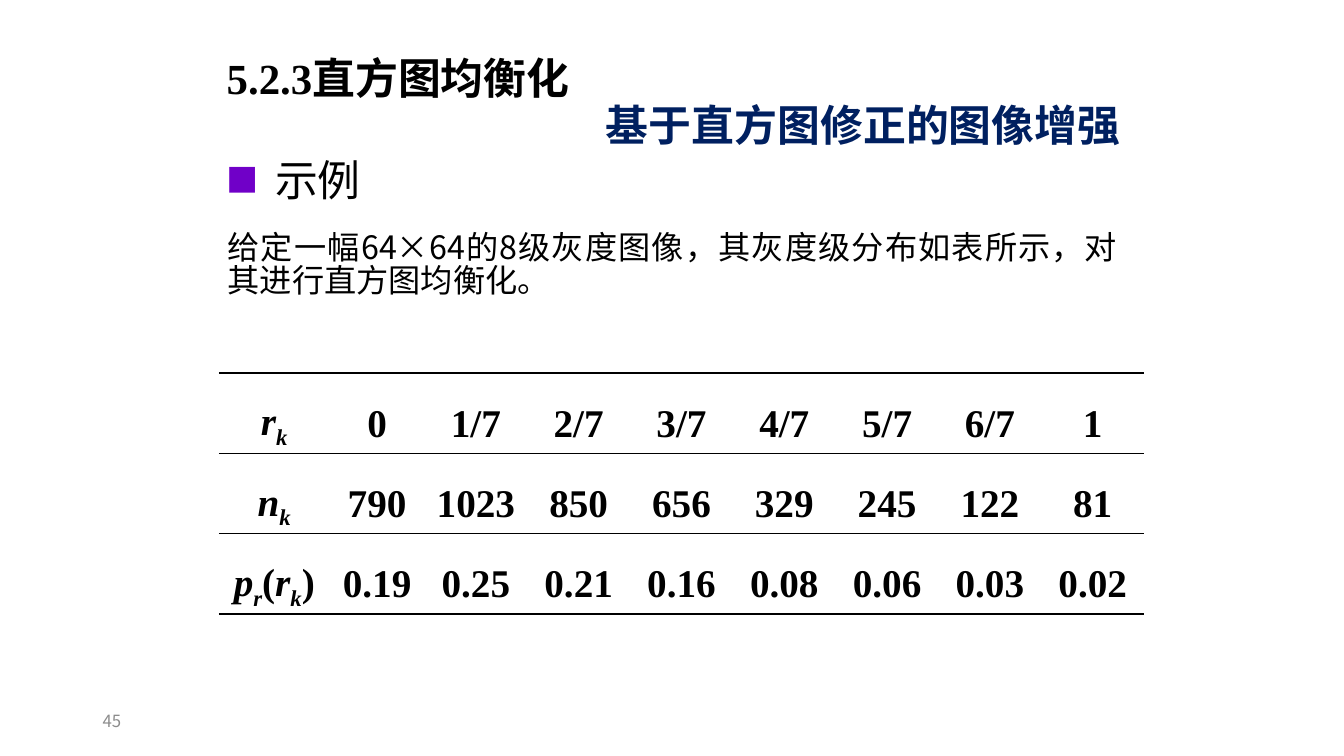
from dataclasses import dataclass

from pptx import Presentation
from pptx.dml.color import RGBColor
from pptx.enum.shapes import MSO_SHAPE
from pptx.enum.text import MSO_ANCHOR, PP_ALIGN
from pptx.oxml.ns import qn
from pptx.oxml.xmlchemy import OxmlElement
from pptx.util import Emu, Pt

PX = 9144  # EMU, so that 100 px make one inch
SANS, SERIF = "Noto Sans CJK SC", "Times New Roman"
COLORS = {"black": "000000", "white": "FFFFFF", "navy": "002060",
          "gray": "8C8C8C", "purple": "7000C8"}
LEFT, CENTER, JUSTIFY = PP_ALIGN.LEFT, PP_ALIGN.CENTER, PP_ALIGN.JUSTIFY
TOP, MIDDLE = MSO_ANCHOR.TOP, MSO_ANCHOR.MIDDLE
RECT = MSO_SHAPE.RECTANGLE


@dataclass(frozen=True)
class Box:
    left: int
    top: int
    width: int
    height: int

    def emu(self) -> list[Emu]:
        return [px(n) for n in (self.left, self.top, self.width, self.height)]


@dataclass(frozen=True)
class Run:
    text: str
    italic: bool = False
    sub: bool = False


@dataclass(frozen=True)
class Row:
    label: tuple[Run, ...]
    values: tuple[str, ...]


def px(n: int) -> Emu:
    return Emu(n * PX)


def rgb(name: str) -> RGBColor:
    return RGBColor.from_string(COLORS[name])


def child(parent, tag: str, **attrs: str):
    node = OxmlElement(tag)
    for key, value in attrs.items():
        node.set(key, value)
    parent.append(node)
    return node


def write(frame, text: str | tuple[Run, ...], *, size: float, font: str = SANS,
          color: str = "black", bold: bool = False, align=LEFT, anchor=TOP,
          spacing: float | None = None, bullet: bool = False) -> None:
    """Fill a text frame with one paragraph."""
    frame.word_wrap = True
    frame.vertical_anchor = anchor
    para = frame.paragraphs[0]
    para.alignment = align
    if spacing:
        para.line_spacing = spacing
    if bullet:
        add_bullet(para)
    for part in (Run(text),) if isinstance(text, str) else text:
        run = para.add_run()
        run.text = part.text
        face = run.font
        face.size, face.name = Pt(size), font
        face.bold, face.italic = bold, part.italic
        face.color.rgb = rgb(color)
        props = face._element
        child(props, "a:ea", typeface=SANS)
        if part.sub:
            props.set("baseline", "-25000")


def add_bullet(para, indent: int = 48) -> None:
    props = para._p.get_or_add_pPr()
    props.set("marL", str(px(indent)))
    props.set("indent", str(-px(indent)))
    tint = child(props, "a:buClr")
    child(tint, "a:srgbClr", val=COLORS["purple"])
    child(props, "a:buSzPct", val="75000")
    child(props, "a:buFont", typeface=SANS)
    child(props, "a:buChar", char="■")


def add_text(slide, box: Box, text: str, **style) -> None:
    write(slide.shapes.add_textbox(*box.emu()).text_frame, text, **style)


def add_banner(slide, box: Box, text: str) -> None:
    shape = slide.shapes.add_shape(RECT, *box.emu())
    shape.shadow.inherit = False
    shape.fill.solid()
    shape.fill.fore_color.rgb = rgb("white")
    shape.line.fill.background()
    frame = shape.text_frame
    frame.margin_left = frame.margin_right = 0
    frame.margin_top = frame.margin_bottom = 0
    write(frame, text, size=30.6, color="navy", bold=True, anchor=MIDDLE)


def set_borders(cell, top: float, bottom: float) -> None:
    """Rule a cell above and below, with widths in points, and clear its sides."""
    props = cell._tc.get_or_add_tcPr()
    for side, width in (("L", 0), ("R", 0), ("T", top), ("B", bottom)):
        line = child(props, f"a:ln{side}", w=str(Pt(width)))
        if width:
            fill = child(line, "a:solidFill")
            child(fill, "a:srgbClr", val=COLORS["black"])
        else:
            child(line, "a:noFill")


def add_grid(slide, box: Box, rows: list[Row], widths: list[int]) -> None:
    frame = slide.shapes.add_table(len(rows), len(widths), *box.emu())
    table = frame.table
    table.first_row = table.horz_banding = False
    for col, width in zip(table.columns, widths):
        col.width = px(width)
    rules = [1.5] + [1] * (len(rows) - 1) + [1.5]
    for i, row in enumerate(rows):
        table.rows[i].height = px(box.height // len(rows))
        for j, text in enumerate((row.label, *row.values)):
            cell = table.cell(i, j)
            cell.margin_top = cell.margin_bottom = 0
            cell.vertical_anchor = MIDDLE
            set_borders(cell, rules[i], rules[i + 1])
            cell.fill.background()
            write(cell.text_frame, text, size=28, font=SERIF, bold=True,
                  align=CENTER, anchor=MIDDLE, spacing=1.5)


def var(name: str, index: str) -> tuple[Run, Run]:
    return Run(name, italic=True), Run(index, italic=True, sub=True)


ROWS = [
    Row(var("r", "k"),
        ("0", "1/7", "2/7", "3/7", "4/7", "5/7", "6/7", "1")),
    Row(var("n", "k"),
        ("790", "1023", "850", "656", "329", "245", "122", "81")),
    Row((*var("p", "r"), Run("("), *var("r", "k"), Run(")")),
        ("0.19", "0.25", "0.21", "0.16", "0.08", "0.06", "0.03", "0.02")),
]
TASK = "给定一幅64×64的8级灰度图像，其灰度级分布如表所示，对其进行直方图均衡化。"


def main() -> None:
    deck = Presentation()
    deck.slide_width, deck.slide_height = px(1333), px(750)
    slide = deck.slides.add_slide(deck.slide_layouts[6])
    add_text(slide, Box(92, 695, 300, 40), "45", size=12, color="gray",
             anchor=MIDDLE)
    add_text(slide, Box(215, 33, 457, 87), "5.2.3直方图均衡化", size=30.6,
             font=SERIF, bold=True, anchor=MIDDLE)
    add_banner(slide, Box(601, 102, 532, 43), "基于直方图修正的图像增强")
    add_text(slide, Box(216, 227, 903, 87), TASK, size=23, align=JUSTIFY,
             spacing=0.84)
    add_grid(slide, Box(217, 370, 918, 210), ROWS, [110, 94] + [102] * 7)
    add_text(slide, Box(215, 147, 282, 65), "示例", size=30.6, bullet=True)
    deck.save("out.pptx")


if __name__ == "__main__":
    main()
